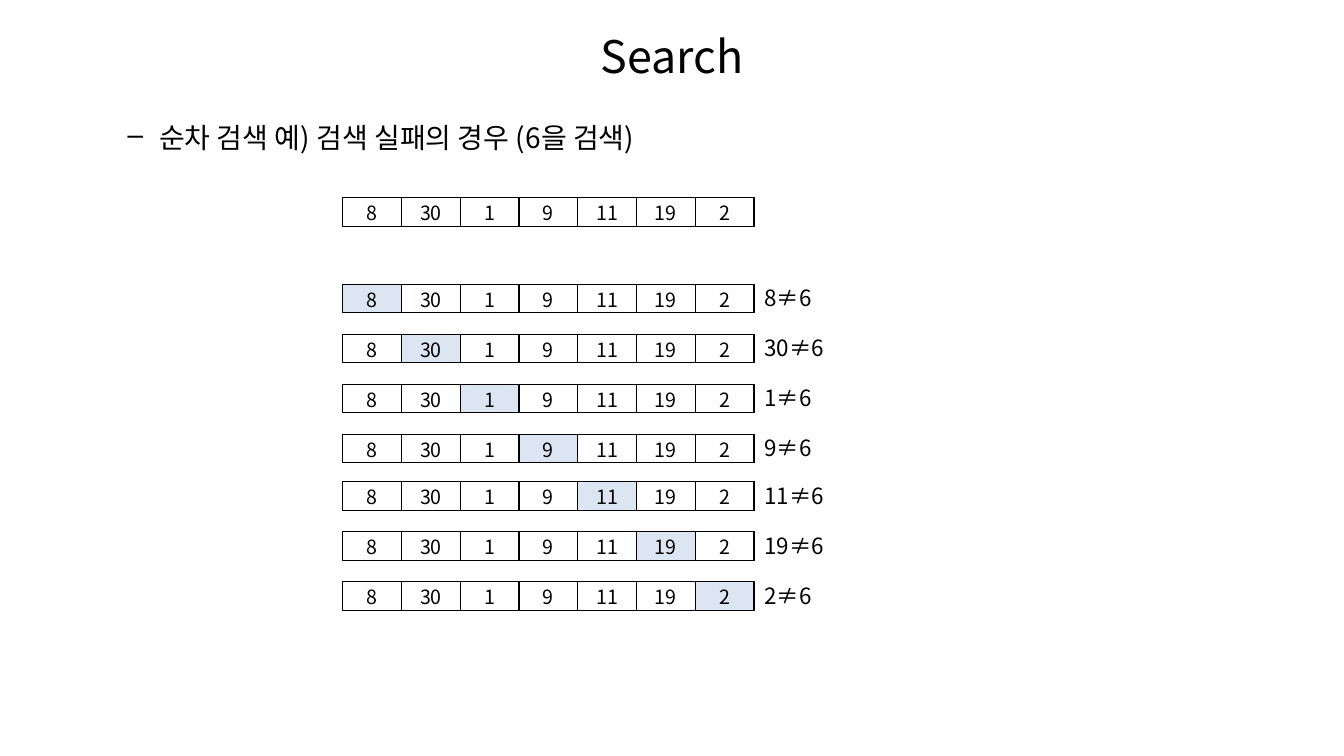
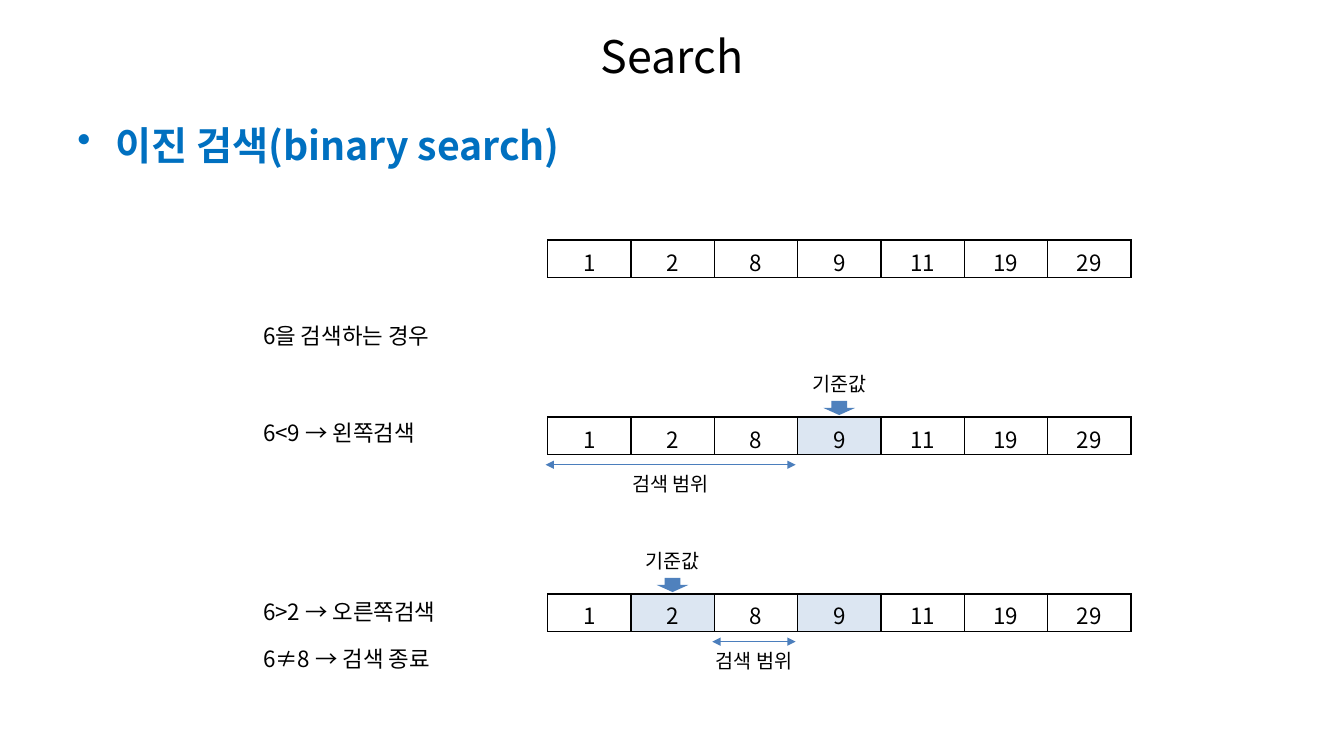
from lxml import etree
from pptx import Presentation
from pptx.dml.color import RGBColor
from pptx.enum.shapes import MSO_CONNECTOR, MSO_SHAPE
from pptx.enum.text import MSO_ANCHOR, PP_ALIGN
from pptx.oxml.ns import qn
from pptx.util import Cm, Pt

FONT = "Noto Sans CJK KR"
BLACK = RGBColor(0x00, 0x00, 0x00)
WHITE = RGBColor(0xFF, 0xFF, 0xFF)
HEADING_BLUE = RGBColor(0x00, 0x70, 0xC0)
HIGHLIGHT = RGBColor(0xDC, 0xE6, 0xF2)
ARROW_FILL = RGBColor(0x4F, 0x81, 0xBD)
ARROW_LINE = RGBColor(0x4B, 0x7E, 0xBC)

STRAIGHT = MSO_CONNECTOR.STRAIGHT
DOWN_ARROW = MSO_SHAPE.DOWN_ARROW
LEFT, CENTER = PP_ALIGN.LEFT, PP_ALIGN.CENTER
TOP, MIDDLE = MSO_ANCHOR.TOP, MSO_ANCHOR.MIDDLE

# Shared frame, in centimetres: left, top, width, height
TITLE_BOX = (1.7, 0.33, 30.48, 2.16)
BODY_BOX = (1.7, 2.92, 30.48, 14.4)


def format_paragraph(paragraph, text, size, color=BLACK, bold=False, align=LEFT):
    paragraph.alignment = align
    run = paragraph.add_run()
    run.text = text
    run.font.name = FONT
    run.font.size = Pt(size)
    run.font.bold = bold
    run.font.color.rgb = color
    east_asian = etree.SubElement(run.font._element, qn("a:ea"))
    east_asian.set("typeface", FONT)


def add_text(slide, box, text, size=16, anchor=TOP, **text_format):
    shape = slide.shapes.add_textbox(*map(Cm, box))
    frame = shape.text_frame
    frame.word_wrap = True
    frame.vertical_anchor = anchor
    format_paragraph(frame.paragraphs[0], text, size, **text_format)
    return frame.paragraphs[0]


def add_bullet(paragraph, character, margin, hanging):
    properties = paragraph._p.get_or_add_pPr()
    properties.set("marL", str(Cm(margin)))
    properties.set("indent", str(-Cm(hanging)))
    etree.SubElement(properties, qn("a:buChar")).set("char", character)


def add_heading(slide, text, size, bullet, **text_format):
    """Place the title and the bulleted first line."""
    add_text(slide, TITLE_BOX, "Search", 32, anchor=MIDDLE, align=CENTER)
    paragraph = add_text(slide, BODY_BOX, text, size, **text_format)
    add_bullet(paragraph, *bullet)


def set_borders(cell):
    properties = cell._tc.get_or_add_tcPr()
    for side in ("lnL", "lnR", "lnT", "lnB"):
        line = etree.SubElement(properties, qn(f"a:{side}"), w=str(Pt(1)))
        fill = etree.SubElement(line, qn("a:solidFill"))
        etree.SubElement(fill, qn("a:srgbClr"), val=str(BLACK))


def add_array(slide, box, values, size, highlighted=(), margin=None):
    """Draw a list of values as a one-row table."""
    frame = slide.shapes.add_table(1, len(values), *map(Cm, box))
    table = frame.table
    table.first_row = False
    table.horz_banding = False
    for index, value in enumerate(values):
        table.columns[index].width = Cm(box[2] / len(values))
        cell = table.cell(0, index)
        if margin is not None:
            cell.margin_left = cell.margin_right = Cm(margin)
            cell.margin_top = cell.margin_bottom = Cm(margin)
        cell.vertical_anchor = MIDDLE
        set_borders(cell)
        cell.fill.solid()
        cell.fill.fore_color.rgb = HIGHLIGHT if index in highlighted else WHITE
        format_paragraph(cell.text_frame.paragraphs[0], str(value), size, align=CENTER)


def add_pivot(slide, center, table_top):
    """Label the pivot cell and point down at it."""
    add_text(slide, (center - 1.25, table_top - 1.27, 2.5, 0.86), "기준값", 14,
             anchor=MIDDLE, align=CENTER)
    arrow_box = (center - 0.4, table_top - 0.41, 0.8, 0.36)
    arrow = slide.shapes.add_shape(DOWN_ARROW, *map(Cm, arrow_box))
    arrow.shadow.inherit = False
    arrow.fill.solid()
    arrow.fill.fore_color.rgb = ARROW_FILL
    arrow.line.fill.background()


def add_range(slide, start, end, table_top):
    """Draw a double-headed arrow under the cells still to be searched."""
    y = table_top + 1.2
    connector = slide.shapes.add_connector(STRAIGHT, *map(Cm, (start, y, end, y)))
    connector.line.color.rgb = ARROW_LINE
    connector.line.width = Pt(0.75)
    line = connector.line._get_or_add_ln()
    for end_name in ("headEnd", "tailEnd"):
        etree.SubElement(line, qn(f"a:{end_name}"), type="triangle")
    etree.SubElement(connector._element.spPr, qn("a:effectLst"))
    center = (start + end) / 2
    add_text(slide, (center - 1.5, table_top + 1.25, 3, 0.86), "검색 범위", 14,
             anchor=MIDDLE, align=CENTER)


def build_sequential_search(slide):
    add_heading(slide, "순차 검색 예) 검색 실패의 경우 (6을 검색)", 20, ("–", 2.06, 0.79))
    values = (8, 30, 1, 9, 11, 19, 2)
    left, width, height = 8.64, 10.36, 0.72
    add_array(slide, (left, 4.98, width, height), values, 14, margin=0)

    # One row per comparison, in an upper and a lower group
    pitch, upper_count = 1.26, 4
    upper_top, lower_top = 7.16, 12.14
    for step, value in enumerate(values):
        if step < upper_count:
            top = upper_top + step * pitch
        else:
            top = lower_top + (step - upper_count) * pitch
        add_array(slide, (left, top, width, height), values, 14, {step}, margin=0)
        add_text(slide, (left + width + 0.02, top - 0.12, 2.13, 0.94), f"{value}≠6")


def build_binary_search(slide):
    add_heading(slide, "이진 검색(binary search)", 28, ("•", 0.97, 0.97),
                color=HEADING_BLUE, bold=True)
    values = (1, 2, 8, 9, 11, 19, 29)
    left, column, height = 13.8, 2.1, 0.94
    first_top, pitch = 6.05, 4.46

    # Highlighted cells, pivot column and searched columns of each step
    steps = (((), None, None), ({3}, 3, (0, 3)), ({1, 3}, 1, (2, 3)))
    for step, (highlighted, pivot, searched) in enumerate(steps):
        top = first_top + step * pitch
        add_array(slide, (left, top, column * len(values), height), values, 16, highlighted)
        if searched:
            add_pivot(slide, left + (pivot + 0.5) * column, top)
            start, end = (left + edge * column - 0.05 for edge in searched)
            add_range(slide, start, end, top)

    # Explanations in the left column
    notes = ((8, "6을 검색하는 경우"), (10.44, "6<9 → 왼쪽검색"),
             (14.96, "6>2 → 오른쪽검색"), (16.13, "6≠8 → 검색 종료"))
    for top, text in notes:
        add_text(slide, (6.38, top, 5.8, 0.94), text)


def main():
    presentation = Presentation()
    presentation.slide_width = Cm(33.87)
    presentation.slide_height = Cm(19.05)
    blank = presentation.slide_layouts[6]
    for build in (build_sequential_search, build_binary_search):
        build(presentation.slides.add_slide(blank))
    presentation.save("out.pptx")


if __name__ == "__main__":
    main()
